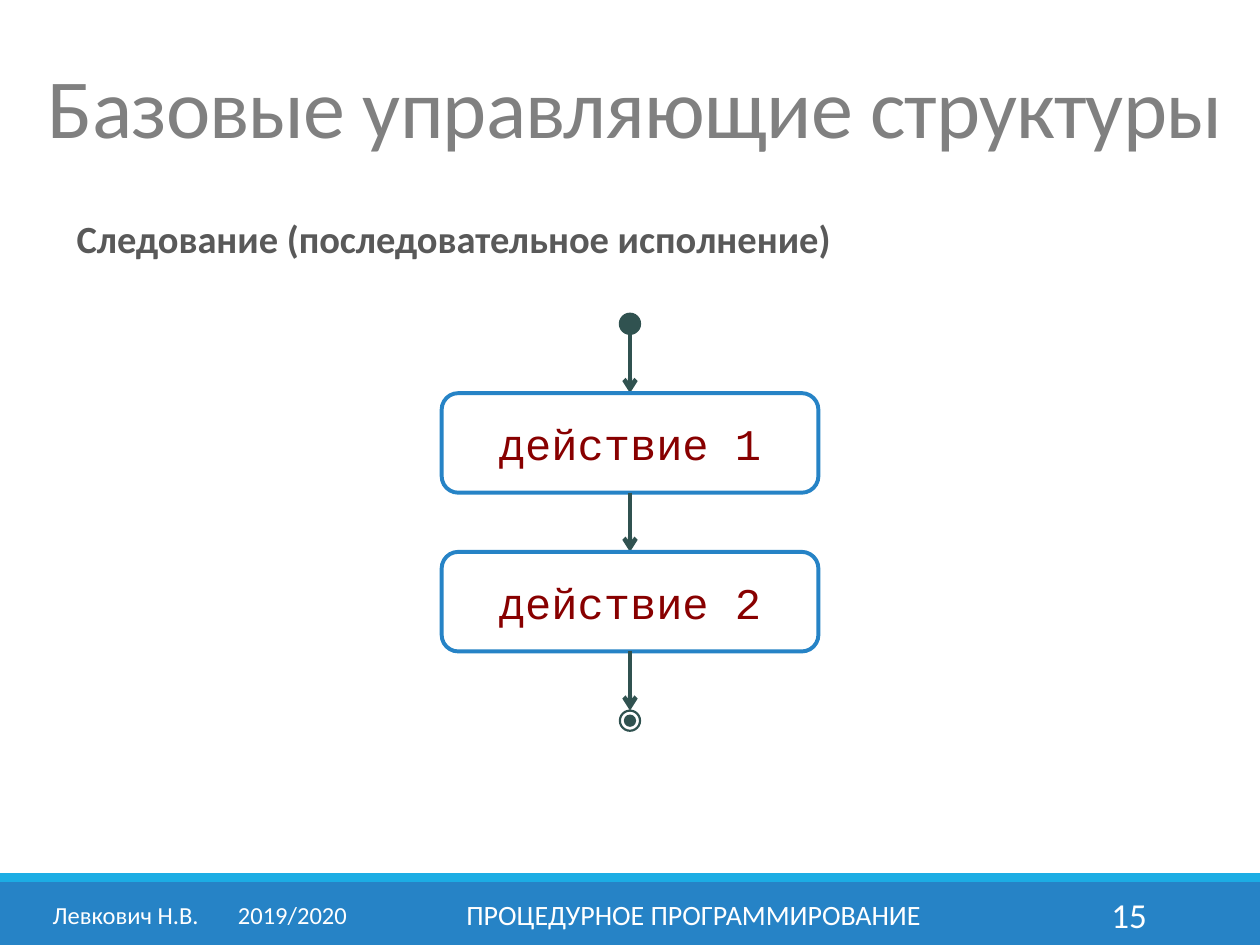
from dataclasses import dataclass
from typing import Optional

from lxml import etree
from pptx import Presentation
from pptx.dml.color import RGBColor
from pptx.enum.shapes import MSO_CONNECTOR, MSO_SHAPE
from pptx.enum.text import MSO_ANCHOR, PP_ALIGN
from pptx.oxml.ns import qn
from pptx.util import Inches, Pt

RECTANGLE = MSO_SHAPE.RECTANGLE
DISC = MSO_SHAPE.FLOWCHART_CONNECTOR
ACTION = MSO_SHAPE.FLOWCHART_ALTERNATE_PROCESS
STRAIGHT = MSO_CONNECTOR.STRAIGHT
LEFT, CENTER, RIGHT = PP_ALIGN.LEFT, PP_ALIGN.CENTER, PP_ALIGN.RIGHT
TOP, MIDDLE = MSO_ANCHOR.TOP, MSO_ANCHOR.MIDDLE

COLORS = {
    "band": "2683C6",
    "stripe": "1CADE4",
    "title": "808080",
    "heading": "595959",
    "flow": "305250",
    "action": "880000",
    "white": "FFFFFF",
}

COLUMNS, ROWS = 100, 75
WIDTH, HEIGHT = Inches(10), Inches(7.5)
AXIS = COLUMNS / 2
ACTION_WIDTH, ACTION_HEIGHT = 29.9, 7.9
FIRST_ACTION, STEP = 31.2, 12.6
START_TOP, MARKER, CORE = 24.9, 1.6, 0.8


@dataclass(frozen=True)
class Area:
    column: float
    row: float
    columns: float
    rows: float

    def emu(self) -> tuple[int, int, int, int]:
        return (
            across(self.column),
            down(self.row),
            across(self.columns),
            down(self.rows),
        )


@dataclass(frozen=True)
class Style:
    size: float
    color: str
    font: str = "Calibri"
    bold: bool = False
    align: PP_ALIGN = LEFT
    anchor: MSO_ANCHOR = MIDDLE
    line_spacing: Optional[float] = None


@dataclass(frozen=True)
class Label:
    text: str
    area: Area
    style: Style


TITLE = Label("Базовые управляющие структуры", Area(2.8, 3.6, 95.3, 10.7),
              Style(48, "title", line_spacing=0.85))
HEADING = Label("Следование (последовательное исполнение)", Area(5.1, 17, 91, 5.5),
                Style(22, "heading", bold=True, anchor=TOP, line_spacing=0.9))
AUTHOR = Label("Левкович Н.В.\t2019/2020", Area(3.2, 70.6, 26.1, 4), Style(14, "white"))
COURSE = Label("ПРОЦЕДУРНОЕ ПРОГРАММИРОВАНИЕ", Area(30.2, 70.6, 49.7, 4),
               Style(16, "white", align=CENTER))
NUMBER = Label("15", Area(81.2, 70.6, 10.8, 4), Style(20, "white", align=RIGHT))
ACTION_STYLE = Style(25, "action", font="Courier New", align=CENTER)
ACTIONS = ("действие 1", "действие 2")


def across(columns: float) -> int:
    return round(WIDTH * columns / COLUMNS)


def down(rows: float) -> int:
    return round(HEIGHT * rows / ROWS)


def color(name: str) -> RGBColor:
    return RGBColor.from_string(COLORS[name])


def write(frame, text: str, style: Style):
    frame.word_wrap = True
    frame.vertical_anchor = style.anchor
    para = frame.paragraphs[0]
    para.alignment = style.align
    if style.line_spacing:
        para.line_spacing = style.line_spacing
    span = para.add_run()
    span.text = text
    span.font.size = Pt(style.size)
    span.font.name = style.font
    span.font.bold = style.bold
    span.font.color.rgb = color(style.color)
    return para


def add_label(shapes, label: Label):
    box = shapes.add_textbox(*label.area.emu())
    return write(box.text_frame, label.text, label.style)


def add_figure(shapes, kind: MSO_SHAPE, area: Area, fill: Optional[str] = None,
               line: Optional[str] = None, weight: float = 1.25):
    figure = shapes.add_shape(kind, *area.emu())
    figure.shadow.inherit = False
    if fill:
        figure.fill.solid()
        figure.fill.fore_color.rgb = color(fill)
    else:
        figure.fill.background()
    if line:
        figure.line.color.rgb = color(line)
        figure.line.width = Pt(weight)
    else:
        figure.line.fill.background()
    return figure


def add_disc(shapes, middle_row: float, size: float, fill: Optional[str] = None) -> None:
    area = Area(AXIS - size / 2, middle_row - size / 2, size, size)
    add_figure(shapes, DISC, area, fill, "flow")


def add_arrow(shapes, start_row: float, end_row: float) -> None:
    arrow = shapes.add_connector(STRAIGHT, across(AXIS), down(start_row),
                                 across(AXIS), down(end_row))
    arrow.line.color.rgb = color("flow")
    arrow.line.width = Pt(2.5)
    etree.SubElement(arrow.line._get_or_add_ln(), qn("a:tailEnd"), type="arrow")
    etree.SubElement(arrow._element.spPr, qn("a:effectLst"))


def add_title(page) -> None:
    title = page.shapes.title
    title.left, title.top, title.width, title.height = TITLE.area.emu()
    title.text_frame.margin_right = 0
    para = write(title.text_frame, TITLE.text, TITLE.style)
    para.runs[0].font._element.set("spc", "-50")


def add_heading(shapes) -> None:
    properties = add_label(shapes, HEADING)._p.get_or_add_pPr()
    properties.set("marL", str(Inches(0.5)))
    properties.set("indent", str(-Inches(0.5)))


def add_flow(shapes) -> None:
    add_arrow(shapes, START_TOP, FIRST_ACTION)
    add_disc(shapes, START_TOP + MARKER / 2, MARKER, "flow")
    for index, text in enumerate(ACTIONS):
        top = FIRST_ACTION + index * STEP
        area = Area(AXIS - ACTION_WIDTH / 2, top, ACTION_WIDTH, ACTION_HEIGHT)
        box = add_figure(shapes, ACTION, area, line="band", weight=2.25)
        write(box.text_frame, text, ACTION_STYLE)
        add_arrow(shapes, top + ACTION_HEIGHT, top + STEP)
    end_middle = FIRST_ACTION + len(ACTIONS) * STEP + MARKER / 2
    end = shapes.add_group_shape()
    add_disc(end.shapes, end_middle, CORE, "flow")
    add_disc(end.shapes, end_middle, MARKER)


def add_footer(shapes) -> None:
    properties = add_label(shapes, AUTHOR)._p.get_or_add_pPr()
    tabs = etree.SubElement(properties, qn("a:tabLst"))
    etree.SubElement(tabs, qn("a:tab"), pos=str(Inches(1.47)), algn="l")
    for label in (COURSE, NUMBER):
        add_label(shapes, label)


def main() -> None:
    deck = Presentation()
    deck.slide_width, deck.slide_height = WIDTH, HEIGHT
    page = deck.slides.add_slide(deck.slide_layouts[5])
    add_figure(page.shapes, RECTANGLE, Area(0, 70, COLUMNS, 5), "band")
    add_figure(page.shapes, RECTANGLE, Area(0, 69.3, COLUMNS, 0.7), "stripe")
    add_title(page)
    add_heading(page.shapes)
    add_flow(page.shapes)
    add_footer(page.shapes)
    deck.save("out.pptx")


if __name__ == "__main__":
    main()
